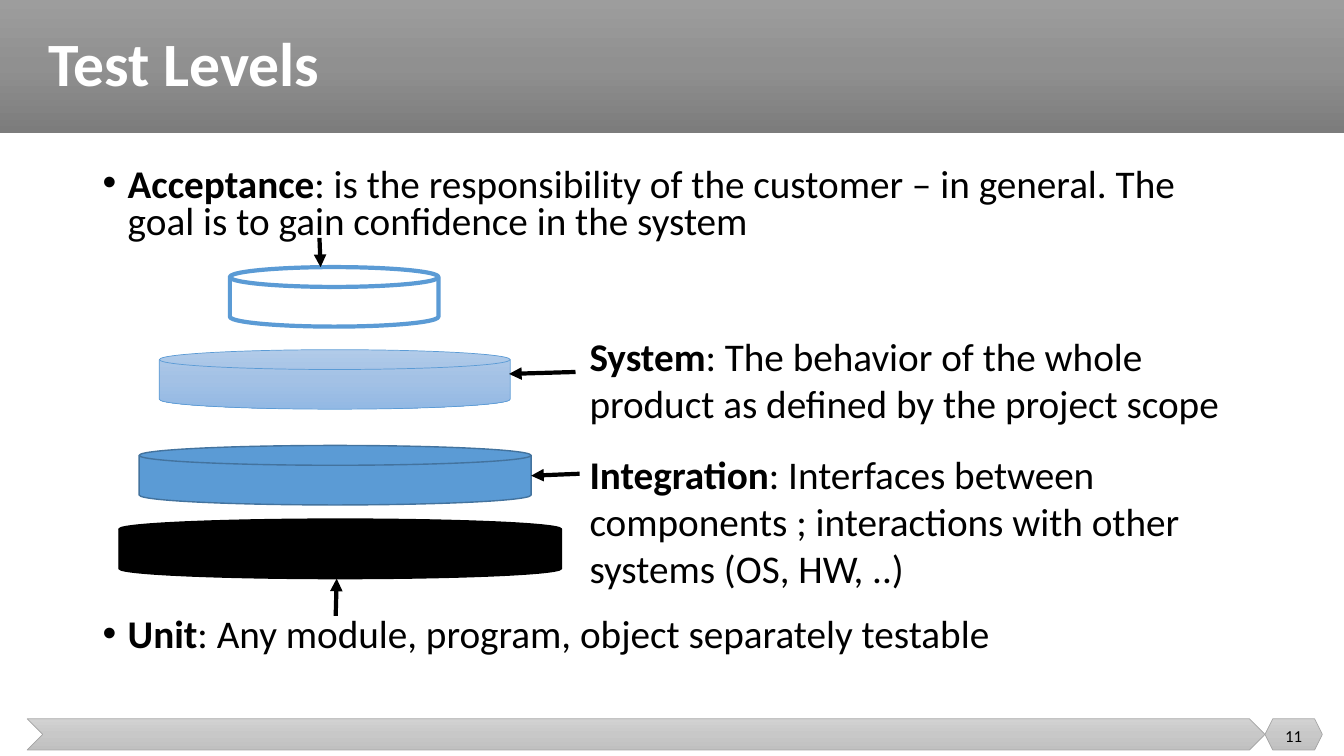
"""Build the Test Levels slide: four stacked discs with their explanations."""
import copy
from dataclasses import dataclass
from typing import Optional

import pptx
import pptx.dml.color
import pptx.enum.shapes
import pptx.enum.text
import pptx.oxml.ns
import pptx.util
from lxml import etree

Pt = pptx.util.Pt
RGBColor = pptx.dml.color.RGBColor
Kind = pptx.enum.shapes.MSO_SHAPE
Align = pptx.enum.text.PP_ALIGN
Anchor = pptx.enum.text.MSO_ANCHOR
qn = pptx.oxml.ns.qn

FONT = "Calibri"
BLACK = RGBColor(0, 0, 0)
WHITE = RGBColor(255, 255, 255)
BLUE = RGBColor(0x5B, 0x9B, 0xD5)
DARK_BLUE = RGBColor(0x43, 0x73, 0x9E)
GRAY = RGBColor(0xA5, 0xA5, 0xA5)
HEADER_FILL = (RGBColor(0x9D, 0x9D, 0x9D), RGBColor(0x90, 0x90, 0x90), RGBColor(0x7C, 0x7C, 0x7C))
FOOTER_FILL = (RGBColor(0xD2, 0xD2, 0xD2), RGBColor(0xC8, 0xC8, 0xC8), RGBColor(0xC0, 0xC0, 0xC0))
SYSTEM_FILL = (RGBColor(0xB1, 0xCB, 0xE9), RGBColor(0xA3, 0xC1, 0xE5), RGBColor(0x93, 0xB9, 0xE4))
DISC_HEIGHT = 42.5
FOOTER_TOP, FOOTER_HEIGHT = 513.4, 22.3


@dataclass(frozen=True)
class Panel:
    """A filled preset shape, with one fill colour or three gradient colours."""
    kind: Kind
    left: float
    top: float
    width: float
    height: float
    fill: tuple[RGBColor, ...]
    outline: Optional[RGBColor] = None
    weight: float = 0


@dataclass(frozen=True)
class Arrow:
    """A straight arrow from a text to its disc."""
    start: tuple[float, float]
    end: tuple[float, float]


@dataclass(frozen=True)
class Entry:
    """A paragraph with a bold term and its explanation."""
    term: str
    explanation: str = ""
    space_before: float = 0
    size: float = 28
    color: RGBColor = BLACK
    bold: bool = True
    bullet: bool = False
    line_spacing: float = 1
    alignment: Align = Align.LEFT


@dataclass(frozen=True)
class TextBlock:
    """A text box with its paragraphs."""
    left: float
    top: float
    width: float
    height: float
    entries: tuple[Entry, ...]
    anchor: Anchor = Anchor.TOP


def disc(left: float, top: float, width: float, fill: tuple[RGBColor, ...],
         outline: RGBColor, weight: float) -> Panel:
    """Describe the disc of one test level."""
    return Panel(Kind.FLOWCHART_MAGNETIC_DISK, left, top, width, DISC_HEIGHT, fill, outline, weight)


FRAME = (
    Panel(Kind.RECTANGLE, 0, 0, 960, 95, HEADER_FILL),
    Panel(Kind.CHEVRON, 19.4, FOOTER_TOP, 884.2, FOOTER_HEIGHT, FOOTER_FILL, GRAY, 0.5),
    Panel(Kind.HEXAGON, 903.6, FOOTER_TOP, 41, FOOTER_HEIGHT, FOOTER_FILL, GRAY, 0.5),
)
DISCS = (
    disc(85, 370.8, 316, (BLACK,), BLACK, 1),
    disc(99.4, 318.2, 280, (BLUE,), DARK_BLUE, 1),
    disc(113.8, 249.8, 250.6, SYSTEM_FILL, BLUE, 0.5),
    disc(164.2, 190.8, 149, (WHITE,), BLUE, 3),
)
ARROWS = (
    Arrow((239.8, 439.9), (240.5, 413.3)),
    Arrow((414, 338.4), (379.4, 339.8)),
    Arrow((411.1, 265.7), (363.6, 267.1)),
    Arrow((228.2, 169.9), (229, 190.8)),
)
TEXTS = (
    TextBlock(27.4, 0, 917.3, 95, (
        Entry("Test Levels", size=44, color=WHITE, line_spacing=0.9),), Anchor.MIDDLE),
    TextBlock(66.2, 116.6, 828, 370.8, (
        Entry("Acceptance", ": is the responsibility of the customer – in general. "
              "The goal is to gain confidence in the system",
              10, bullet=True, line_spacing=0.8),
        Entry("Unit", ": Any module, program, object separately testable",
              268, bullet=True, line_spacing=0.8))),
    TextBlock(414, 234, 493.2, 200.9, (
        Entry("System", ": The behavior of the whole product as defined by the project scope"),
        Entry("Integration", ": Interfaces between components ; interactions with other "
              "systems (OS, HW, ..)", 17))),
    TextBlock(903.6, 511.2, 41, 28.8, (
        Entry("11", size=12, bold=False, alignment=Align.CENTER),), Anchor.MIDDLE),
)


def apply_gradient(shape, colors: tuple[RGBColor, ...]) -> None:
    """Fill a shape with an even gradient running from top to bottom."""
    shape.fill.gradient()
    shape.fill.gradient_angle = 270
    stop_list = shape.element.spPr.find(qn("a:gradFill")).find(qn("a:gsLst"))
    while len(stop_list) < len(colors):
        stop_list.append(copy.deepcopy(stop_list[0]))
    for index, (stop, color) in enumerate(zip(shape.fill.gradient_stops, colors)):
        stop.position = index / (len(colors) - 1)
        stop.color.rgb = color


def draw_panel(slide, panel: Panel) -> None:
    """Draw a filled preset shape."""
    shape = slide.shapes.add_shape(
        panel.kind, Pt(panel.left), Pt(panel.top), Pt(panel.width), Pt(panel.height))
    shape.shadow.inherit = False
    if len(panel.fill) > 1:
        apply_gradient(shape, panel.fill)
    else:
        shape.fill.solid()
        shape.fill.fore_color.rgb = panel.fill[0]
    if panel.outline is None:
        shape.line.fill.background()
    else:
        shape.line.color.rgb = panel.outline
        shape.line.width = Pt(panel.weight)


def draw_arrow(slide, arrow: Arrow) -> None:
    """Draw a black arrow with a triangular head."""
    connector = slide.shapes.add_connector(
        pptx.enum.shapes.MSO_CONNECTOR.STRAIGHT, *map(Pt, arrow.start + arrow.end))
    connector.line.color.rgb = BLACK
    connector.line.width = Pt(3)
    properties = connector.element.spPr
    etree.SubElement(properties.find(qn("a:ln")), qn("a:tailEnd"), type="triangle")
    etree.SubElement(properties, qn("a:effectLst"))


def write_entry(paragraph, entry: Entry) -> None:
    """Write the term and the explanation of one paragraph."""
    paragraph.alignment = entry.alignment
    paragraph.line_spacing = entry.line_spacing
    paragraph.space_before = Pt(entry.space_before)
    if entry.bullet:
        properties = paragraph.element.get_or_add_pPr() if hasattr(paragraph, "element") \
            else paragraph._p.get_or_add_pPr()
        properties.set("marL", str(Pt(18)))
        properties.set("indent", str(-Pt(18)))
        etree.SubElement(properties, qn("a:buFont"), typeface="Arial")
        etree.SubElement(properties, qn("a:buChar"), char="•")
    for text, bold in ((entry.term, entry.bold), (entry.explanation, False)):
        if text:
            run = paragraph.add_run()
            run.text = text
            run.font.name = FONT
            run.font.size = Pt(entry.size)
            run.font.bold = bold
            run.font.color.rgb = entry.color


def draw_text(slide, block: TextBlock) -> None:
    """Draw a wrapping text box."""
    frame = slide.shapes.add_textbox(
        Pt(block.left), Pt(block.top), Pt(block.width), Pt(block.height)).text_frame
    frame.word_wrap = True
    frame.vertical_anchor = block.anchor
    for index, entry in enumerate(block.entries):
        write_entry(frame.add_paragraph() if index else frame.paragraphs[0], entry)


def main() -> None:
    """Build and save the presentation."""
    presentation = pptx.Presentation()
    presentation.slide_width, presentation.slide_height = Pt(960), Pt(540)
    slide = presentation.slides.add_slide(presentation.slide_layouts[6])
    for panel in FRAME:
        draw_panel(slide, panel)
    for block in TEXTS:
        draw_text(slide, block)
    for panel in DISCS:
        draw_panel(slide, panel)
    for arrow in ARROWS:
        draw_arrow(slide, arrow)
    presentation.save("out.pptx")


main()
